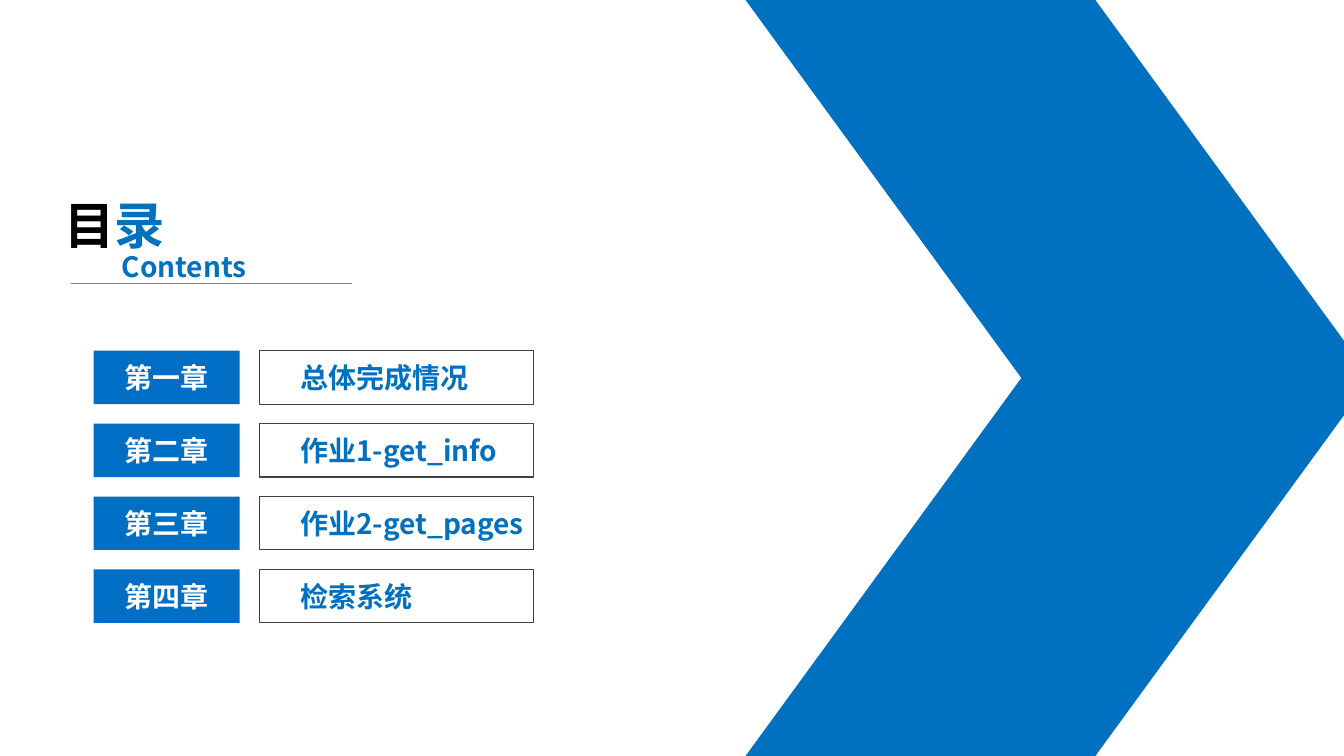
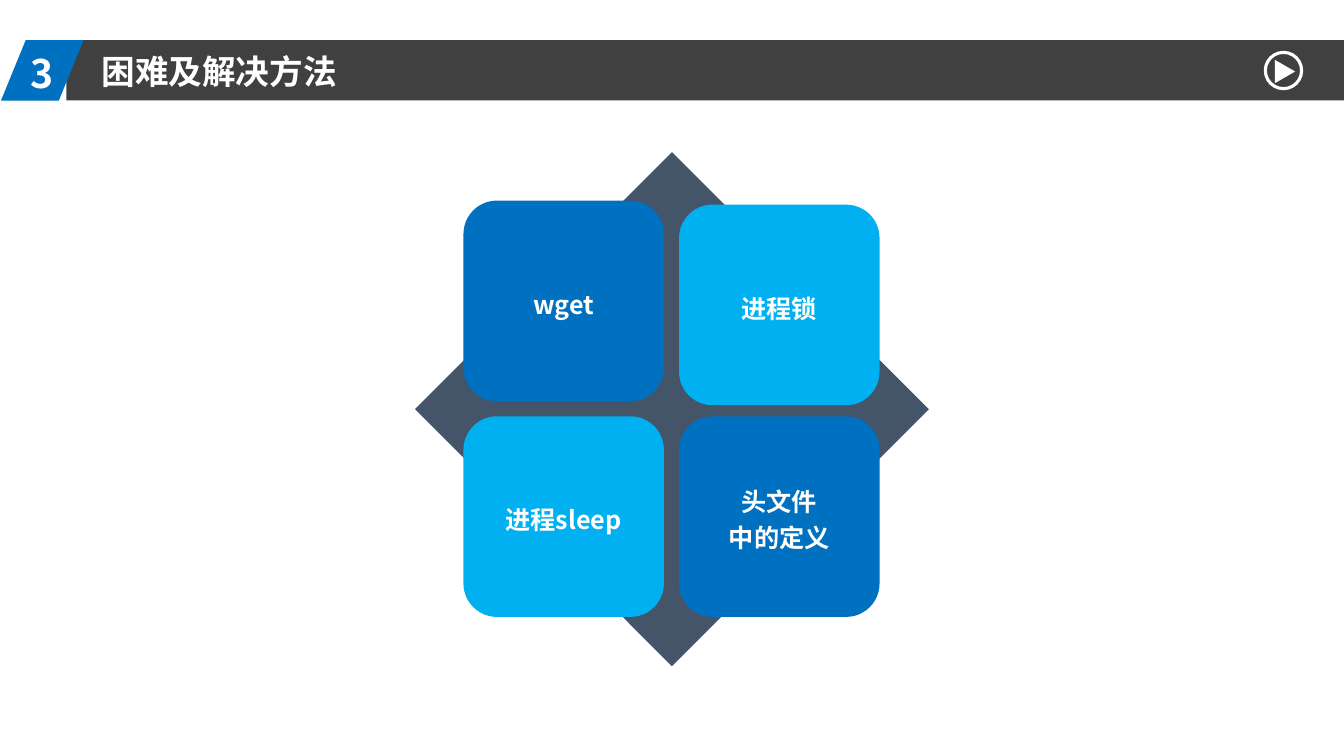
import pptx
import pptx.dml.color
import pptx.enum.shapes
import pptx.enum.text
import pptx.oxml
import pptx.oxml.ns
import pptx.util

WIDTH, HEIGHT = 13.34, 7.5
FONT = "Noto Sans CJK SC"
BLUE, LABEL_BLUE, SKY = "0070C0", "006EC5", "00B0F0"
DARK, SLATE, GREY = "404040", "445469", "7F7F7F"
WHITE, BLACK = "FFFFFF", "000000"

SHAPE = pptx.enum.shapes.MSO_SHAPE
ALIGN = pptx.enum.text.PP_ALIGN
ANCHOR = pptx.enum.text.MSO_ANCHOR

BAND_TOP, BAND_HEIGHT = HEIGHT * 0.053, HEIGHT * 0.08


def color(value):
    return pptx.dml.color.RGBColor.from_string(value)


def inches(*lengths):
    return [pptx.util.Inches(length) for length in lengths]


def write(shape, text, size=20, fill=WHITE, align=ALIGN.LEFT,
          insets=(0.1, 0.1), line_height=None):
    """Fill a shape with bold text; text is a list of paragraphs,
    each a string or a list of (string, colour) spans."""
    frame = shape.text_frame
    frame.word_wrap = True
    frame.vertical_anchor = ANCHOR.MIDDLE
    frame.margin_left, frame.margin_right = inches(*insets)
    frame.margin_top = frame.margin_bottom = 0
    for index, content in enumerate(text):
        para = frame.add_paragraph() if index else frame.paragraphs[0]
        para.alignment = align
        if line_height:
            para.line_spacing = pptx.util.Pt(line_height)
        spans = [(content, fill)] if isinstance(content, str) else content
        for words, span_color in spans:
            span = para.add_run()
            span.text = words
            span.font.name = FONT
            span.font.size = pptx.util.Pt(size)
            span.font.bold = True
            span.font.color.rgb = color(span_color)
            east_asian = pptx.oxml.parse_xml(
                f'<a:ea {pptx.oxml.ns.nsdecls("a")} typeface="{FONT}"/>')
            span.font._element.find(
                pptx.oxml.ns.qn("a:latin")).addnext(east_asian)


def add_text(page, at, text, **style):
    box = page.shapes.add_textbox(*inches(*at))
    write(box, text, **style)


def add_shape(page, kind, at, fill=None, line=None, line_width=0.75):
    shape = page.shapes.add_shape(kind, *inches(*at))
    shape.shadow.inherit = False
    if fill:
        shape.fill.solid()
        shape.fill.fore_color.rgb = color(fill)
    else:
        shape.fill.background()
    if line:
        shape.line.color.rgb = color(line)
        shape.line.width = pptx.util.Pt(line_width)
    else:
        shape.line.fill.background()
    return shape


def add_rule(page, left, top, right):
    rule = page.shapes.add_connector(
        pptx.enum.shapes.MSO_CONNECTOR.STRAIGHT,
        *inches(left, top, right, top))
    rule.line.color.rgb = color(GREY)
    rule.line.width = pptx.util.Pt(0.5)
    rule._element.spPr.append(pptx.oxml.parse_xml(
        f'<a:effectLst {pptx.oxml.ns.nsdecls("a")}/>'))


def add_chevron(page):
    """Two mirrored parallelograms that meet at mid-height."""
    half = HEIGHT / 2
    for top in (half, 0):
        arm = add_shape(page, SHAPE.PARALLELOGRAM, (7.4, top, 6.21, half), BLUE)
        arm.adjustments[0] = 0.73
        if top == 0:
            arm._element.spPr.get_or_add_xfrm().set("flipV", "1")


def add_chapter(page, top, label, title):
    height = 0.53
    title_box = add_shape(page, SHAPE.RECTANGLE, (2.58, top, 2.72, height),
                          line=DARK)
    write(title_box, [title], fill=BLUE, insets=(0.4, 0))
    label_box = add_shape(page, SHAPE.RECTANGLE, (0.93, top, 1.45, height),
                          LABEL_BLUE)
    write(label_box, [label], align=ALIGN.CENTER)


def add_title_band(page, number, title):
    add_shape(page, SHAPE.RECTANGLE,
              (0.66, BAND_TOP, WIDTH - 0.66, BAND_HEIGHT), DARK)
    tab = add_shape(page, SHAPE.PARALLELOGRAM,
                    (0.01, BAND_TOP, 0.82, BAND_HEIGHT), BLUE)
    tab.adjustments[0] = 0.41
    add_text(page, (0.2, 0.44, 0.69, 0.57), [number], size=28)
    add_text(page, (0.91, 0.46, 4, 0.5), [title], size=24)
    add_shape(page, SHAPE.OVAL, (12.56, 0.52, 0.36, 0.36),
              line=WHITE, line_width=2.25)
    play = add_shape(page, SHAPE.ISOSCELES_TRIANGLE,
                     (12.64, 0.61, 0.23, 0.2), WHITE)
    play.rotation = 90


def add_tile(page, column, row, fill, text, drop=0):
    side, pitch = 1.99, 2.14
    at = (4.6 + column * pitch, 1.99 + row * pitch + drop, side, side)
    tile = add_shape(page, SHAPE.ROUNDED_RECTANGLE, at, fill)
    write(tile, text, size=18, align=ALIGN.CENTER, line_height=26)


def build_contents(page):
    add_chevron(page)
    chapters = [
        ("第一章", "总体完成情况"),
        ("第二章", "作业1-get_info"),
        ("第三章", "作业2-get_pages"),
        ("第四章", "检索系统"),
    ]
    first, last = 3.48, 5.65
    pitch = (last - first) / (len(chapters) - 1)
    for index, (label, title) in enumerate(chapters):
        add_chapter(page, first + index * pitch, label, title)
    add_text(page, (0.54, 1.88, 1.57, 0.7),
             [[("目", BLACK), ("录", BLUE)]], size=36)
    add_rule(page, 0.7, 2.81, 3.49)
    add_text(page, (1.11, 2.42, 1.57, 0.44), ["Contents"], fill=BLUE)


def build_difficulties(page):
    add_title_band(page, "3", "困难及解决方法")
    side = 5.1
    add_shape(page, SHAPE.DIAMOND, ((WIDTH - side) / 2, 1.51, side, side), SLATE)
    add_tile(page, 0, 0, BLUE, ["wget"])
    add_tile(page, 1, 0, SKY, ["进程锁"], drop=0.04)
    add_tile(page, 0, 1, SKY, ["进程sleep"])
    add_tile(page, 1, 1, BLUE, ["头文件", "中的定义"])


def main():
    deck = pptx.Presentation()
    deck.slide_width, deck.slide_height = inches(WIDTH, HEIGHT)
    blank = deck.slide_layouts[6]
    for build in (build_contents, build_difficulties):
        build(deck.slides.add_slide(blank))
    deck.save("out.pptx")


if __name__ == "__main__":
    main()
